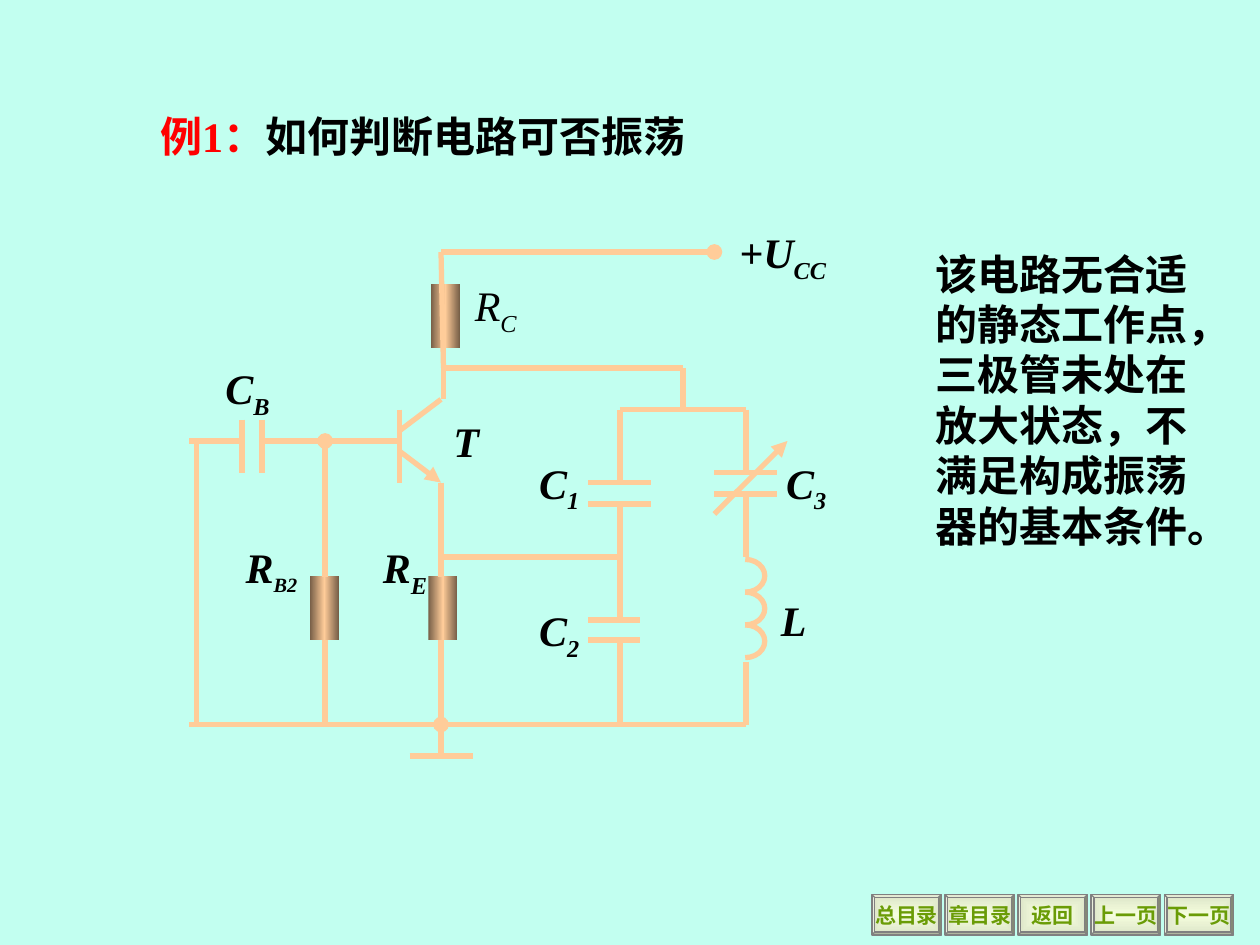
from pptx import Presentation
from pptx.dml.color import RGBColor
from pptx.enum.shapes import MSO_CONNECTOR, MSO_SHAPE
from pptx.enum.text import MSO_ANCHOR as ANCHOR, MSO_AUTO_SIZE as AUTO, PP_ALIGN as ALIGN
from pptx.oxml import parse_xml
from pptx.oxml.ns import nsdecls, qn
from pptx.util import Inches, Pt

FONT = "Times New Roman"
BLACK, RED, WIRE, BACK = "000000", "FF0000", "FFCC99", "C2FFF0"
RESISTOR_STOPS = [(0, "765E47"), (50, WIRE), (100, "765E47")]
BUTTON_STOPS = [(0, "F5FEDE"), (100, "DCE4C7")]
LINEAR = '<a:lin ang="0" scaled="1"/>'
FROM_CENTRE = '<a:path path="rect"><a:fillToRect l="50000" t="50000" r="50000" b="50000"/></a:path>'

RESISTORS = [(3.42, 2.25), (2.46, 4.57), (3.4, 4.57)]
# x1, y1, x2, y2 in inches
WIRES = [
    # base branch and left loop
    (1.5, 3.5, 1.92, 3.5), (2.08, 3.5, 2.58, 3.5), (1.56, 3.5, 1.56, 5.75),
    (2.58, 3.5, 2.58, 4.58), (2.58, 5.08, 2.58, 5.75),
    # transistor
    (3.17, 3.25, 3.17, 3.83), (3.17, 3.42, 3.5, 3.17),
    # collector branch
    (3.5, 2, 3.52, 2.92), (3.52, 2.75, 3.52, 3.17),
    (3.5, 2.92, 5.42, 2.92), (5.42, 2.92, 5.42, 3.25),
    # emitter branch and ground
    (3.5, 3.83, 3.5, 4.58), (3.5, 5.08, 3.5, 6), (3.25, 6, 3.75, 6),
    (3.5, 4.42, 4.92, 4.42), (1.5, 5.75, 5.92, 5.75),
    # resonant circuit
    (4.92, 3.25, 5.92, 3.25), (4.92, 3.25, 4.92, 3.83),
    (4.92, 4, 4.92, 4.92), (4.92, 5.08, 4.92, 5.75),
    (5.92, 3.25, 5.92, 3.75), (5.92, 3.92, 5.92, 4.42), (5.92, 5.25, 5.92, 5.75),
    # capacitor plates
    (1.92, 3.33, 1.92, 3.75), (2.08, 3.33, 2.08, 3.75),
    (4.67, 3.83, 5.17, 3.83), (4.67, 4, 5.17, 4),
    (4.67, 4.92, 5.08, 4.92), (4.67, 5.08, 5.08, 5.08),
    (5.67, 3.75, 6.17, 3.75), (5.67, 3.92, 6.17, 3.92),
]
DOTTED_WIRES = [(3.5, 5.75, 4.17, 5.75), (2.58, 3.5, 3.17, 3.5), (5.67, 2, 3.5, 2)]
ARROWS = [(3.17, 3.58, 3.5, 3.83), (5.67, 4.08, 6.25, 3.5)]
# symbol, subscript, left, top, width, height, subscript size, bold
LABELS = [
    ("R", "E", 2.94, 4.25, 0.55, 0.56, 24, True),
    ("R", "B2", 1.85, 4.25, 0.61, 0.54, 20, True),
    ("R", "C", 3.67, 2.17, 0.83, 0.56, 24, False),
    ("C", "1", 4.18, 3.58, 0.52, 0.56, 24, True),
    ("C", "2", 4.18, 4.75, 0.52, 0.56, 24, True),
    ("C", "3", 6.14, 3.58, 0.52, 0.56, 24, True),
    ("C", "B", 1.69, 2.83, 0.55, 0.56, 24, True),
    ("L", "", 6.1, 4.67, 0.4, 0.5, 24, True),
    ("T", "", 3.5, 3.25, 0.4, 0.5, 24, True),
    ("+U", "CC", 5.77, 1.75, 0.89, 0.56, 24, True),
]


def rgb(value):
    return RGBColor.from_string(value)


class CircuitSlide:
    """Holds the slide and the style shared by its elements."""

    def __init__(self, prs):
        self.slide = prs.slides.add_slide(prs.slide_layouts[5])
        self.shapes = self.slide.shapes
        fill = self.slide.background.fill
        fill.solid()
        fill.fore_color.rgb = rgb(BACK)

    def run(self, p, text, color=BLACK, size=24, bold=True, italic=False):
        r = p.add_run()
        r.text = text
        f = r.font
        f.name, f.size, f.bold, f.italic = FONT, Pt(size), bold, italic
        f.color.rgb = rgb(color)
        return r

    def title(self, runs, left, top, width, height):
        sp = self.shapes.title
        sp.left, sp.top, sp.width, sp.height = map(Inches, (left, top, width, height))
        self.prose(sp.text_frame, runs)

    def note(self, runs, left, top, width, height):
        sp = self.shapes.add_textbox(*map(Inches, (left, top, width, height)))
        self.prose(sp.text_frame, runs)

    def prose(self, tf, runs):
        """Fill a frame with one left-aligned, wrapped paragraph."""
        tf.word_wrap, tf.auto_size, tf.vertical_anchor = True, AUTO.NONE, ANCHOR.TOP
        p = tf.paragraphs[0]
        p.alignment, p.line_spacing = ALIGN.LEFT, Pt(28.8)
        for text, color in runs:
            self.run(p, text, color)

    def label(self, symbol, sub, left, top, width, height, sub_size, bold):
        sp = self.shapes.add_textbox(*map(Inches, (left, top, width, height)))
        tf = sp.text_frame
        tf.word_wrap = False
        p = tf.paragraphs[0]
        self.run(p, symbol, bold=bold, italic=True)
        if sub:
            r = self.run(p, sub, size=sub_size, bold=bold, italic=True)
            r.font._element.set("baseline", "-25000")

    def wire(self, x1, y1, x2, y2, head=None, tail=None):
        cx = self.shapes.add_connector(MSO_CONNECTOR.STRAIGHT, *map(Inches, (x1, y1, x2, y2)))
        cx.line.color.rgb = rgb(WIRE)
        cx.line.width = Pt(3)
        ln = cx.line._get_or_add_ln()
        for tag, kind in (("headEnd", head), ("tailEnd", tail)):
            if kind:
                ln.append(parse_xml(f'<a:{tag} {nsdecls("a")} type="{kind}"/>'))
        cx._element.spPr.append(parse_xml(f'<a:effectLst {nsdecls("a")}/>'))

    def shape(self, kind, left, top, width, height):
        sp = self.shapes.add_shape(kind, *map(Inches, (left, top, width, height)))
        sp.shadow.inherit = False
        return sp

    def gradient(self, sp, stops, direction):
        stop_xml = "".join(
            f'<a:gs pos="{pos * 1000}"><a:srgbClr val="{color}"/></a:gs>' for pos, color in stops)
        sp._element.spPr.find(qn("a:prstGeom")).addnext(parse_xml(
            f'<a:gradFill {nsdecls("a")} rotWithShape="1"><a:gsLst>{stop_xml}</a:gsLst>'
            f'{direction}</a:gradFill>'))

    def resistor(self, left, top):
        sp = self.shape(MSO_SHAPE.RECTANGLE, left, top, 0.23, 0.51)
        self.gradient(sp, RESISTOR_STOPS, LINEAR)
        sp.line.fill.background()

    def coil_turn(self, top):
        sp = self.shape(MSO_SHAPE.ARC, 5.76, top, 0.31, 0.26)
        sp.adjustments[1] = 54  # the arc ends at the bottom, 90 degrees
        sp.fill.background()
        sp.line.color.rgb = rgb(WIRE)
        sp.line.width = Pt(3)

    def button(self, text, left):
        sp = self.shape(MSO_SHAPE.BEVEL, left, 7.1, 0.55, 0.32)
        sp.adjustments[0] = 0.07
        self.gradient(sp, BUTTON_STOPS, FROM_CENTRE)
        sp.line.color.rgb = rgb("808080")
        sp.line.width = Pt(0.75)
        tf = sp.text_frame
        tf.word_wrap, tf.vertical_anchor = False, ANCHOR.MIDDLE
        p = tf.paragraphs[0]
        p.alignment = ALIGN.CENTER
        self.run(p, text, "6A9C06", 12)


def main():
    prs = Presentation()
    prs.slide_width, prs.slide_height = Inches(10), Inches(7.5)
    s = CircuitSlide(prs)
    for i, text in enumerate(["总目录", "章目录", "返回", "上一页", "下一页"]):
        s.button(text, 6.92 + 0.58 * i)
    s.title([("例1：", RED), ("如何判断电路可否振荡", BLACK)], 1.17, 0.83, 4.57, 0.5)
    for place in RESISTORS:
        s.resistor(*place)
    for ends in WIRES:
        s.wire(*ends)
    for ends in DOTTED_WIRES:
        s.wire(*ends, head="oval")
    for ends in ARROWS:
        s.wire(*ends, tail="triangle")
    for i in range(3):
        s.coil_turn(4.44 + 0.26 * i)
    for item in LABELS:
        s.label(*item)
    s.note([("该电路无合适的静态工作点，三极管未处在放大状态，不满足构成振荡器的基本条件。", BLACK)],
           7.33, 1.92, 2.42, 2.5)
    prs.save("out.pptx")


if __name__ == "__main__":
    main()
